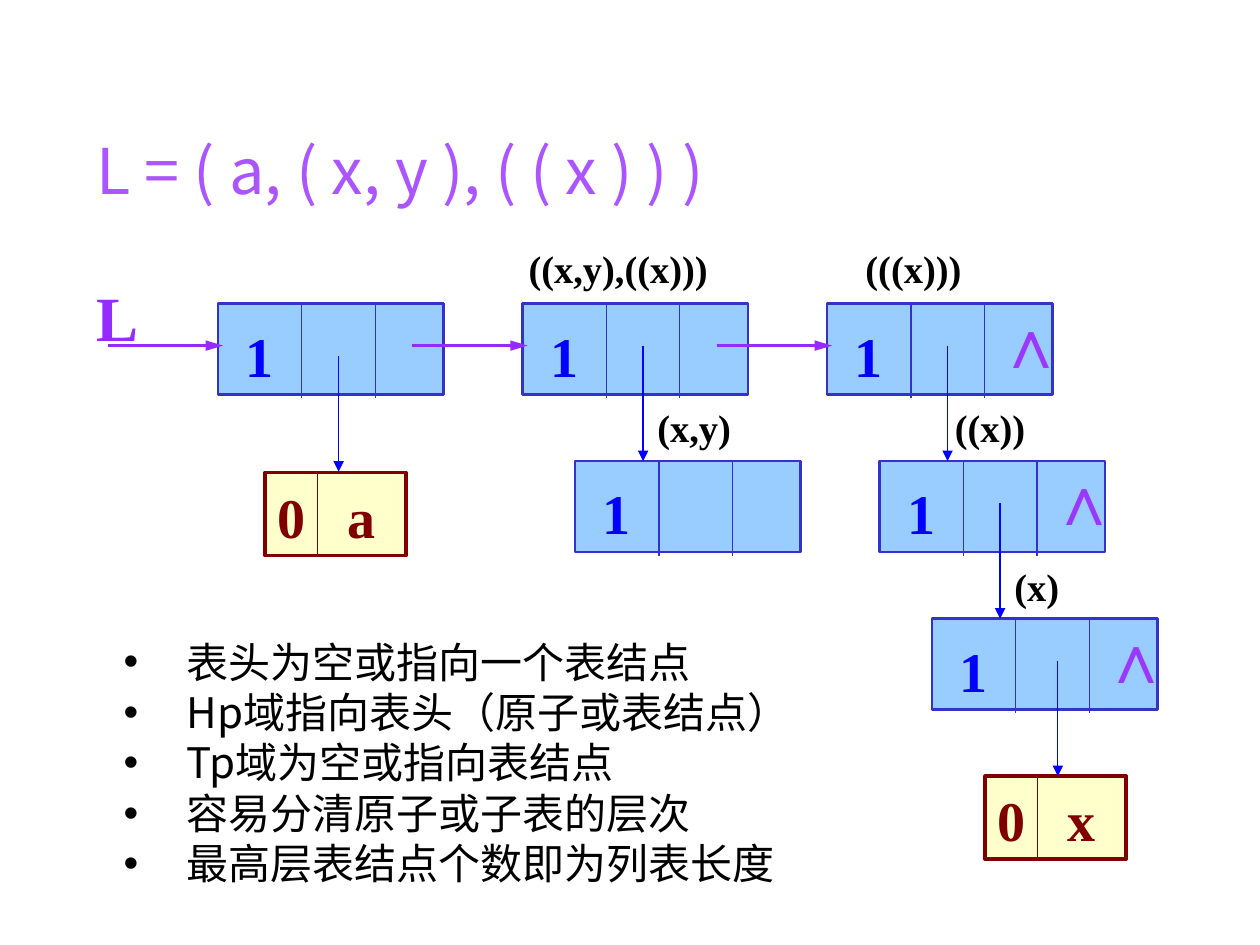
from lxml.etree import SubElement
from pptx import Presentation
from pptx.dml.color import RGBColor
from pptx.enum.shapes import MSO_CONNECTOR, MSO_SHAPE
from pptx.enum.text import MSO_ANCHOR as Anchor, MSO_AUTO_SIZE, PP_ALIGN
from pptx.oxml.ns import qn
from pptx.util import Pt

# Content
TITLE = "L = ( a, ( x, y ), ( ( x ) ) )"
BULLETS = [
    "表头为空或指向一个表结点",
    "Hp域指向表头（原子或表结点）",
    "Tp域为空或指向表结点",
    "容易分清原子或子表的层次",
    "最高层表结点个数即为列表长度",
]
NODES = [(0, 0), (1, 0), (2, 0), (1, 1), (2, 1), (2, 2)]  # column, row
END_NODES = [(2, 0), (2, 1), (2, 2)]  # nodes with an empty tail
ATOMS = [("a", 151.5, 270), ("x", 563, 443.5)]
CAPTIONS = [  # text, left, top, width
    ("((x,y),((x)))", 295, 136, 130),
    ("(((x)))", 487.5, 136, 91),
    ("(x,y)", 368.5, 227, 68),
    ("((x))", 538.5, 227, 68),
    ("(x)", 572.5, 317.5, 51),
]

# Style
COLORS = {
    "title": "AA55FF", "text": "000000", "node": "99CCFF", "node_line": "3333CC",
    "head": "0000FF", "tail": "952BFF", "empty": "9B37FF",
    "atom": "FFFF99", "atom_line": "800000",
}
SERIF, SANS = "Times New Roman", "Noto Sans CJK SC"

# Geometry in points
NODE_W, NODE_H = 129, 52
ATOM_W, ATOM_H, ATOM_SPLIT = 80.5, 47.5, 30
SPLITS, SPLIT_H = (48, 90), 54
ARROW_LENGTH, ARROW_Y, HEAD_X = 66, 24, 69


def node_origin(column, row):
    return 124.5 + 174 * column + 30 * row, 173.5 + 90 * row


def color(name):
    return RGBColor.from_string(COLORS[name])


def write(shape, lines, size, color_name, font=SERIF, bold=True, **frame_format):
    frame = shape.text_frame
    settings = {"auto_size": MSO_AUTO_SIZE.NONE, "word_wrap": True,
                "vertical_anchor": Anchor.BOTTOM, **frame_format}
    for name, value in settings.items():
        setattr(frame, name, value)
    for index, line in enumerate(lines):
        paragraph = frame.paragraphs[0] if index == 0 else frame.add_paragraph()
        paragraph.alignment = PP_ALIGN.LEFT
        run = paragraph.add_run()
        run.text = line
        for name, value in {"size": Pt(size), "bold": bold, "name": font}.items():
            setattr(run.font, name, value)
        run.font.color.rgb = color(color_name)
        SubElement(run.font._element, qn("a:ea"), typeface=font)
    return frame


def add_text(slide, box, *args, **kwargs):
    shape = slide.shapes.add_textbox(*map(Pt, box))
    return write(shape, *args, **kwargs)


def add_box(slide, box, fill, line, width):
    shape = slide.shapes.add_shape(MSO_SHAPE.RECTANGLE, *map(Pt, box))
    shape.shadow.inherit = False
    shape.fill.solid()
    shape.fill.fore_color.rgb = color(fill)
    shape.line.color.rgb = color(line)
    shape.line.width = Pt(width)
    return shape


def add_line(slide, ends, line, width=0.75, arrow_length=None):
    connector = slide.shapes.add_connector(MSO_CONNECTOR.STRAIGHT, *map(Pt, ends))
    connector.line.color.rgb = color(line)
    connector.line.width = Pt(width)
    if arrow_length:
        SubElement(connector.line._get_or_add_ln(), qn("a:tailEnd"),
                   type="triangle", w="med", len=arrow_length)
    SubElement(connector._element.spPr, qn("a:effectLst"))


def add_node(slide, left, top):
    shape = add_box(slide, (left, top, NODE_W, NODE_H), "node", "node_line", 1.5)
    write(shape, ["1"], 32, "head", margin_left=Pt(16))
    for split in SPLITS:
        add_line(slide, (left + split, top, left + split, top + SPLIT_H), "node_line")


def add_atom(slide, name, left, top):
    shape = add_box(slide, (left, top, ATOM_W, ATOM_H), "atom", "atom_line", 2)
    fill_color = shape._element.spPr.find(qn("a:solidFill"))[0]
    SubElement(fill_color, qn("a:alpha"), val="50000")
    frame = write(shape, [f"0\t{name}"], 32, "atom_line", margin_right=0)
    tabs = SubElement(frame.paragraphs[0]._p.get_or_add_pPr(), qn("a:tabLst"))
    SubElement(tabs, qn("a:tab"), pos=str(Pt(40)), algn="l")
    split = left + ATOM_SPLIT
    add_line(slide, (split, top, split, top + ATOM_H), "atom_line")


def add_bullets(slide):
    frame = add_text(slide, (63.5, 360, 422, 152.5), BULLETS, 24, "text", SANS, False,
                     vertical_anchor=Anchor.TOP)
    for paragraph in frame.paragraphs:
        paragraph.line_spacing = Pt(28.8)
        properties = paragraph._p.get_or_add_pPr()
        properties.set("marL", str(Pt(36)))
        properties.set("indent", str(-Pt(36)))
        SubElement(properties, qn("a:buFont"), typeface="Arial")
        SubElement(properties, qn("a:buChar"), char="•")


def main():
    presentation = Presentation()
    presentation.slide_width, presentation.slide_height = Pt(720), Pt(540)
    slide = presentation.slides.add_slide(presentation.slide_layouts[5])

    # Title
    title = slide.shapes.title
    title.left, title.top, title.width, title.height = map(Pt, (48, 71.5, 395.5, 51))
    write(title, [TITLE], 36, "title", SANS, False, word_wrap=False,
          vertical_anchor=Anchor.MIDDLE, margin_top=0, margin_bottom=0)

    # Nodes and atoms
    for node in NODES:
        add_node(slide, *node_origin(*node))
    for atom in ATOMS:
        add_atom(slide, *atom)

    # Tail pointers along the top row
    for column in range(3):
        left, top = node_origin(column, 0)
        y = top + ARROW_Y
        add_line(slide, (left + 3 - ARROW_LENGTH, y, left + 3, y), "tail", 1.75, "lg")
    add_text(slide, (48, 155.5, 38, 50.5), ["L"], 36, "tail", word_wrap=False)

    # Head pointers: node, shift right, shift down
    for node, right, down in [((0, 0), 0, 6), ((1, 0), 0, 0), ((2, 0), 0, 0),
                              ((2, 1), 0, 0), ((2, 2), 3, 0)]:
        left, top = node_origin(*node)
        x, y = left + HEAD_X + right, top + ARROW_Y + down
        add_line(slide, (x, y, x, y + ARROW_LENGTH), "head", arrow_length="med")

    # Empty tails
    for node in END_NODES:
        left, top = node_origin(*node)
        add_text(slide, (left + SPLITS[1], top - 6.5, 55, 55.5), ["∧"], 40, "empty",
                 word_wrap=False, vertical_anchor=Anchor.TOP)

    # Sublist captions
    for text, left, top, width in CAPTIONS:
        add_text(slide, (left, top, width, 34), [text], 22, "text")

    add_bullets(slide)
    presentation.save("out.pptx")


if __name__ == "__main__":
    main()
